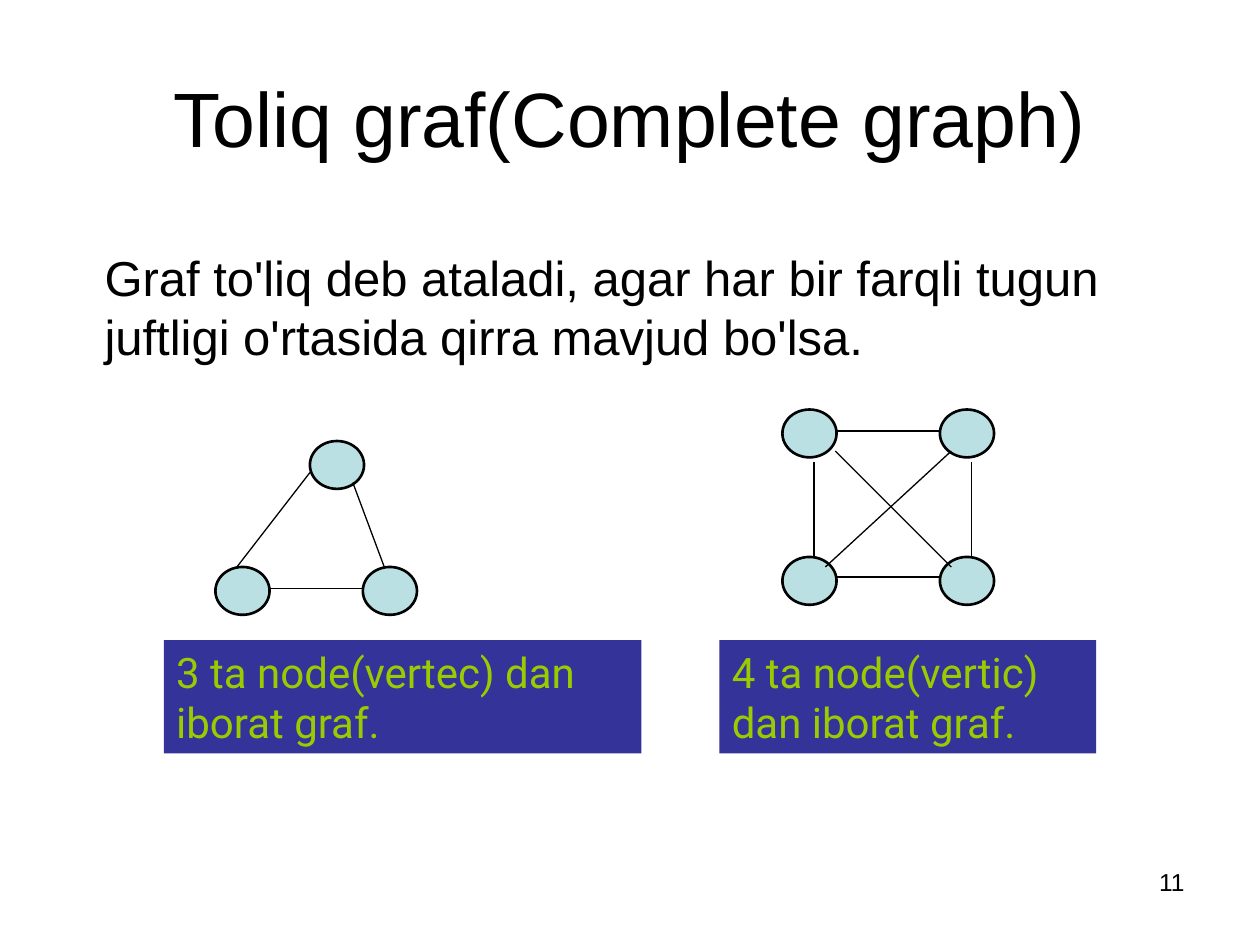
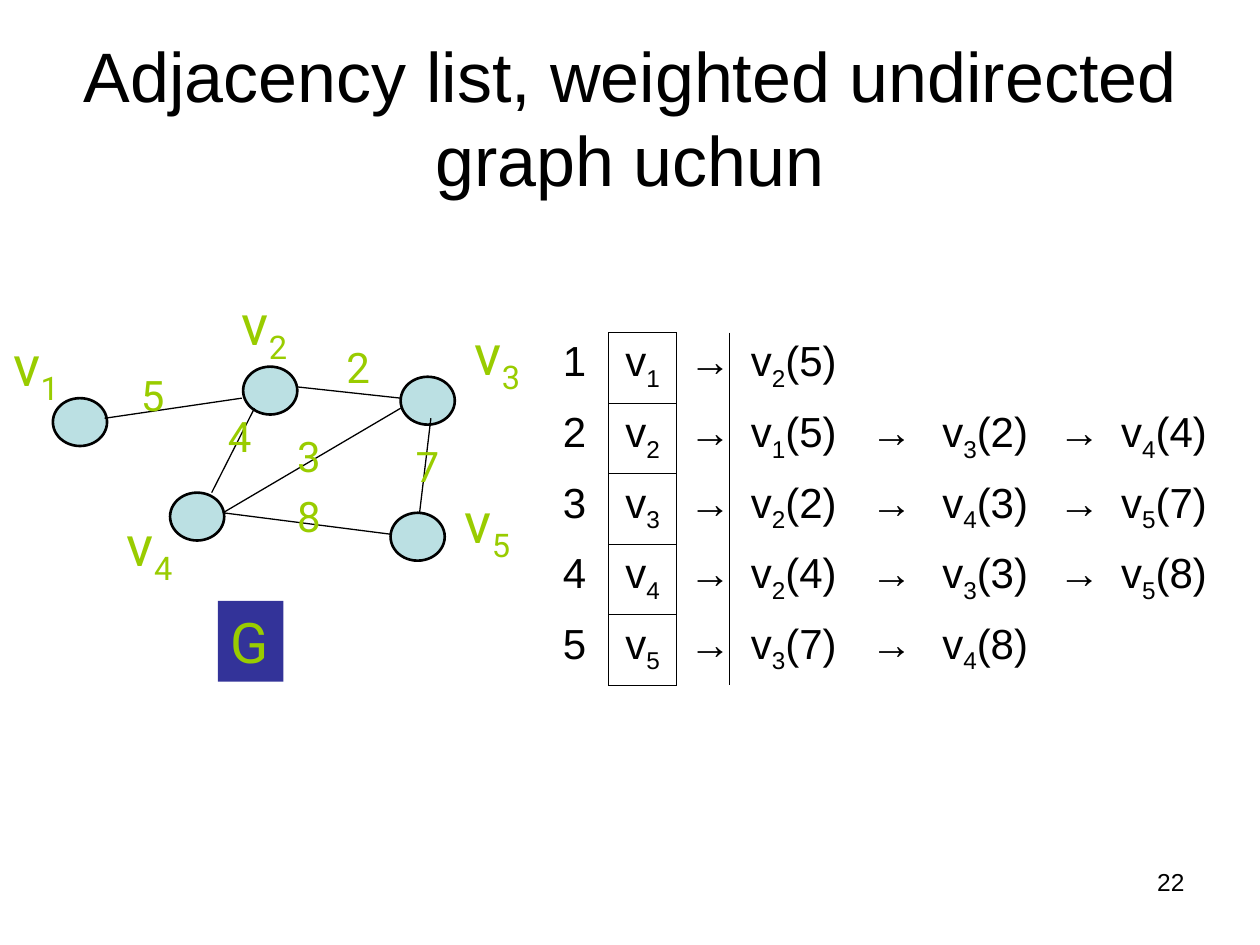
from dataclasses import dataclass

from lxml import etree
from pptx import Presentation
from pptx.dml.color import RGBColor
from pptx.enum.shapes import MSO_CONNECTOR, MSO_SHAPE
from pptx.enum.text import MSO_ANCHOR, MSO_AUTO_SIZE, PP_ALIGN
from pptx.oxml.ns import qn
from pptx.util import Emu, Inches, Pt

LEFT, CENTER, RIGHT = PP_ALIGN.LEFT, PP_ALIGN.CENTER, PP_ALIGN.RIGHT
TOP, MIDDLE = MSO_ANCHOR.TOP, MSO_ANCHOR.MIDDLE
FIT, NO_FIT = MSO_AUTO_SIZE.SHAPE_TO_FIT_TEXT, MSO_AUTO_SIZE.NONE
STRAIGHT = MSO_CONNECTOR.STRAIGHT
OVAL, RECTANGLE = MSO_SHAPE.OVAL, MSO_SHAPE.RECTANGLE
COLS, ROWS = 10, 7.5
NODE_W, NODE_H = 0.43, 0.38
PLAIN_TABLE = "{2D5ABB26-0587-4C30-8999-92F81FD0307C}"


@dataclass(frozen=True)
class Theme:
    ink: str = "000000"
    node: str = "BBE0E3"
    band: str = "333399"
    accent: str = "99CC00"
    font: str = "Arial"
    label_font: str = "Roboto"
    title: int = 44
    long_title: int = 40
    vertex: int = 32
    body: int = 28
    label: int = 24
    number: int = 14
    node_line: float = 1.5
    edge_line: float = 0.75
    cell_line: float = 0.45


THEME = Theme()


def write(tf, text, size, color=THEME.ink, font=THEME.font, align=LEFT,
          anchor=TOP, wrap=True, fit=NO_FIT):
    """Fill a text frame; the character after each underscore is a subscript."""
    tf.word_wrap, tf.auto_size, tf.vertical_anchor = wrap, fit, anchor
    p = tf.paragraphs[0]
    p.alignment = align
    p.space_before = Pt(0)
    head, *tails = text.split("_")
    pieces = [(head, False)]
    for tail in tails:
        pieces += [(tail[0], True), (tail[1:], False)]
    for piece, lowered in pieces:
        if not piece:
            continue
        r = p.add_run()
        r.text = piece
        r.font.size, r.font.name = Pt(size), font
        r.font.color.rgb = RGBColor.from_string(color)
        if lowered:
            r.font._element.set("baseline", "-25000")


def add_border(cell, sides):
    tc_pr = cell._tc.get_or_add_tcPr()
    for side in sides:
        ln = etree.SubElement(tc_pr, qn(f"a:ln{side}"), w=str(Pt(THEME.cell_line)))
        fill = etree.SubElement(ln, qn("a:solidFill"))
        etree.SubElement(fill, qn("a:srgbClr"), val=THEME.ink)


class Deck:
    def __init__(self):
        self.prs = Presentation()
        self.prs.slide_width, self.prs.slide_height = Inches(10), Inches(7.5)
        self.slide = None

    def x(self, cols):
        return Emu(round(self.prs.slide_width * cols / COLS))

    def y(self, rows):
        return Emu(round(self.prs.slide_height * rows / ROWS))

    def box(self, left, top, width, height):
        return self.x(left), self.y(top), self.x(width), self.y(height)

    def place(self, sp, *box):
        sp.left, sp.top, sp.width, sp.height = self.box(*box)

    def new_slide(self, layout, title, size, number):
        layouts = self.prs.slide_layouts
        self.slide = self.prs.slides.add_slide(layouts.get_by_name(layout))
        sp = self.slide.shapes.title
        self.place(sp, 0.5, 0.3, 9, 1.25)
        write(sp.text_frame, title, size, align=CENTER, anchor=MIDDLE)
        self.text(number, 7.17, 6.83, 2.33, 0.52, size=THEME.number, align=RIGHT)

    def body(self, text, *box):
        sp = self.slide.placeholders[1]
        self.place(sp, *box)
        p_pr = sp.text_frame.paragraphs[0]._p.get_or_add_pPr()
        p_pr.set("marL", "0")
        p_pr.set("indent", "0")
        etree.SubElement(p_pr, qn("a:buNone"))
        write(sp.text_frame, text, THEME.body, anchor=MIDDLE)

    def text(self, text, *box, **style):
        sp = self.slide.shapes.add_textbox(*self.box(*box))
        write(sp.text_frame, text, **style)

    def label(self, text, *box, size=THEME.label):
        self.text(text, *box, size=size, color=THEME.accent,
                  font=THEME.label_font, wrap=False, fit=FIT)

    def shape(self, kind, fill, *box):
        sp = self.slide.shapes.add_shape(kind, *self.box(*box))
        sp.shadow.inherit = False
        sp.fill.solid()
        sp.fill.fore_color.rgb = RGBColor.from_string(fill)
        sp.line.fill.background()
        return sp

    def node(self, left, top):
        sp = self.shape(OVAL, THEME.node, left, top, NODE_W, NODE_H)
        sp.line.color.rgb = RGBColor.from_string(THEME.ink)
        sp.line.width = Pt(THEME.node_line)

    def caption(self, text, *box, size=THEME.label, wrap=True):
        sp = self.shape(RECTANGLE, THEME.band, *box)
        write(sp.text_frame, text, size, color=THEME.accent,
              font=THEME.label_font, wrap=wrap, fit=FIT)

    def edge(self, start, end):
        line = self.slide.shapes.add_connector(
            STRAIGHT, self.x(start[0]), self.y(start[1]), self.x(end[0]), self.y(end[1]))
        line.line.color.rgb = RGBColor.from_string(THEME.ink)
        line.line.width = Pt(THEME.edge_line)
        etree.SubElement(line._element.spPr, qn("a:effectLst"))

    def adjacency_table(self, rows, left, top, widths, row_height):
        frame = self.slide.shapes.add_table(
            len(rows), len(widths),
            *self.box(left, top, sum(widths), row_height * len(rows)))
        table = frame.table
        table.first_row = table.horz_banding = False
        table._tbl.tblPr.find(qn("a:tableStyleId")).text = PLAIN_TABLE
        for column, width in zip(table.columns, widths):
            column.width = self.x(width)
        borders = {0: "R", 1: "LRTB", 2: "L"}
        for i, row in enumerate(rows):
            table.rows[i].height = self.y(row_height)
            for j in range(len(widths)):
                cell = table.cell(i, j)
                add_border(cell, borders.get(j, ""))
                cell.fill.background()
                if j < len(row):
                    write(cell.text_frame, row[j], THEME.label, align=CENTER)


def complete_graph_slide(deck):
    deck.new_slide("Title and Content", "Toliq graf(Complete graph)", THEME.title, "11")
    deck.body("Graf to'liq deb ataladi, agar har bir farqli tugun juftligi "
              "o'rtasida qirra mavjud bo'lsa.", 0.73, 1.91, 8.75, 1.04)

    triangle = [(2.46, 3.5), (1.71, 4.5), (2.88, 4.5)]
    square = [(left, top) for top in (3.25, 4.42) for left in (6.21, 7.46)]
    for left, top in triangle + square:
        deck.node(left, top)

    triangle_edges = [((2.13, 4.67), (2.88, 4.67)), ((1.88, 4.5), (2.46, 3.75)),
                      ((3.05, 4.5), (2.8, 3.83))]
    sides = [((x, 3.67), (x, 4.42)) for x in (6.46, 7.71)]
    sides += [((6.63, y), (7.46, y)) for y in (3.42, 4.58)]
    diagonals = [((6.63, 3.58), (7.55, 4.5)), ((6.55, 4.5), (7.55, 3.58))]
    for start, end in triangle_edges + sides + diagonals:
        deck.edge(start, end)

    deck.caption("3 ta node(vertec) dan iborat graf.", 1.3, 5.08, 3.79, 0.9)
    deck.caption("4 ta node(vertic) dan iborat graf.", 5.71, 5.08, 2.99, 0.9)


def adjacency_rows(vertices, weights):
    """One row a vertex: its number, its name, then an arrow to each neighbour."""
    rows = []
    for v in vertices:
        row = [str(v), f"v_{v}"]
        for other in vertices:
            weight = weights.get((min(v, other), max(v, other)))
            if weight:
                row += ["→", f"v_{other}({weight})"]
        rows.append(row)
    return rows


def adjacency_list_slide(deck):
    deck.new_slide("Title Only", "Adjacency list, weighted undirected graph uchun",
                   THEME.long_title, "22")
    # vertex: node position, label position
    vertices = {
        1: ((0.42, 3.16), (0.01, 2.57)),
        2: ((1.93, 2.91), (1.82, 2.25)),
        3: ((3.18, 2.99), (3.67, 2.49)),
        4: ((1.35, 3.91), (0.91, 4)),
        5: ((3.1, 4.07), (3.59, 3.82)),
    }
    # vertex pair: weight, start, end, weight position
    edges = {
        (1, 2): (5, (0.83, 3.32), (1.92, 3.16), (1.02, 2.88)),
        (2, 3): (2, (2.35, 3.07), (3.18, 3.16), (2.65, 2.66)),
        (2, 4): (4, (2.02, 3.24), (1.68, 3.91), (1.71, 3.21)),
        (3, 4): (3, (3.18, 3.24), (1.77, 4.07), (2.26, 3.37)),
        (3, 5): (7, (3.42, 3.32), (3.33, 4.07), (3.2, 3.45)),
        (4, 5): (8, (1.77, 4.07), (3.1, 4.24), (2.26, 3.84)),
    }
    for node, _ in vertices.values():
        deck.node(*node)
    for _, start, end, _ in edges.values():
        deck.edge(start, end)
    for v, (_, spot) in vertices.items():
        deck.label(f"v_{v}", *spot, 0.57, 0.71, size=THEME.vertex)
    for weight, _, _, spot in edges.values():
        deck.label(str(weight), *spot, 0.39, 0.5)
    deck.caption("G", 1.73, 4.77, 0.52, 0.64, size=THEME.vertex, wrap=False)

    weights = {pair: edge[0] for pair, edge in edges.items()}
    deck.adjacency_table(adjacency_rows(vertices, weights), 4.29, 2.64,
                         [0.54, 0.54, 0.42, 1.02, 0.53, 0.96, 0.39, 1.1], 0.56)


def main():
    deck = Deck()
    complete_graph_slide(deck)
    adjacency_list_slide(deck)
    deck.prs.save("out.pptx")


if __name__ == "__main__":
    main()
